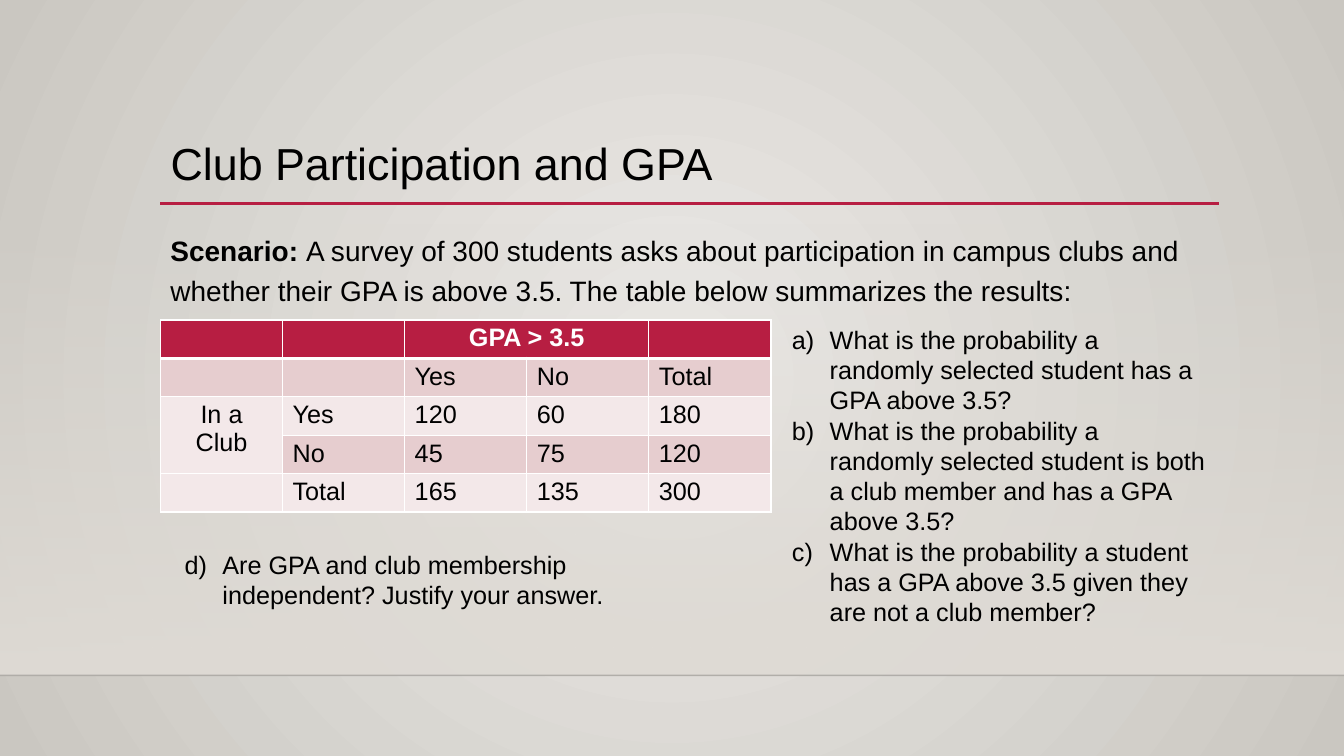
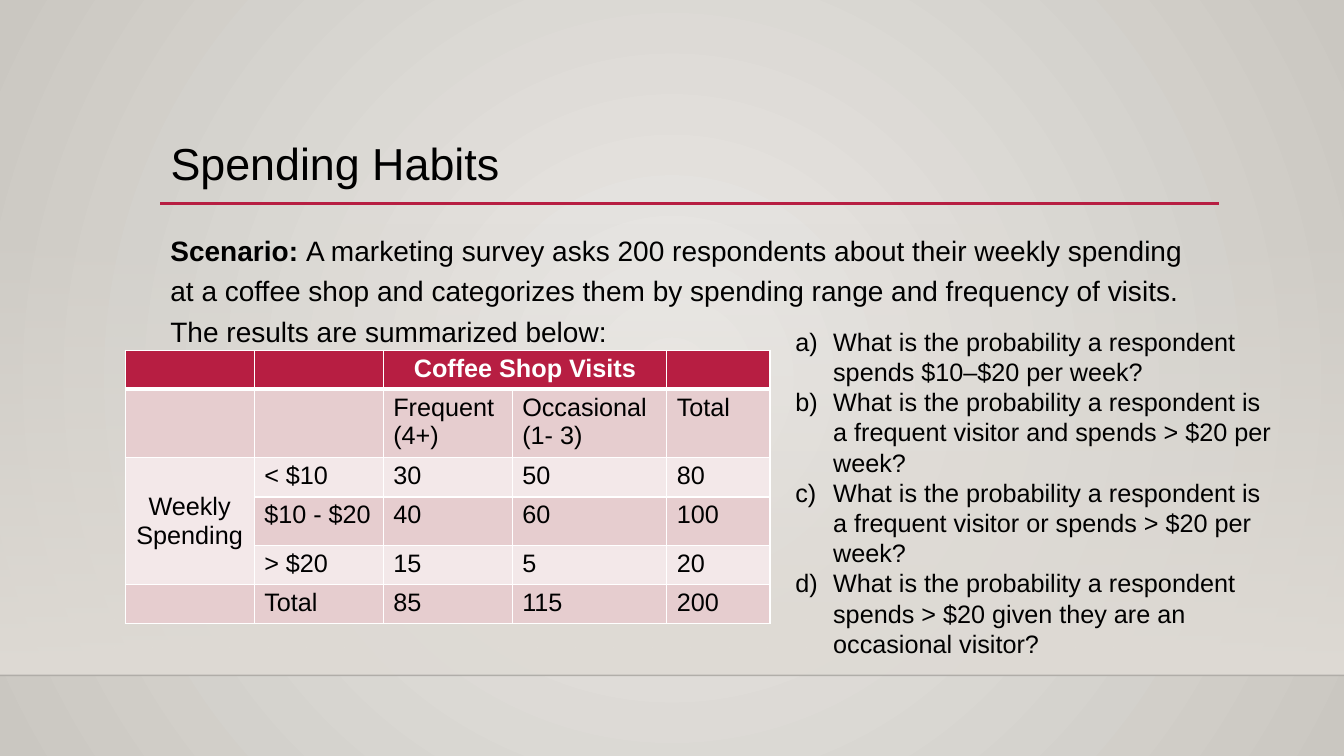
"""Build two probability exercise slides with two-way tables."""
from dataclasses import dataclass

import lxml.etree
import pptx
import pptx.dml.color
import pptx.enum.shapes
import pptx.enum.text
import pptx.oxml.ns
import pptx.shapes.base
import pptx.slide
import pptx.table
import pptx.text.text
import pptx.util

RGB = pptx.dml.color.RGBColor
BLACK = RGB(0x00, 0x00, 0x00)
WHITE = RGB(0xFF, 0xFF, 0xFF)
RED = RGB(0xB7, 0x1E, 0x42)
PINK = RGB(0xE6, 0xCD, 0xCF)
PALE = RGB(0xF3, 0xE8, 0xE9)
LIGHT = RGB(0xEC, 0xEA, 0xE7)
DARK = RGB(0xCA, 0xC7, 0xC1)
SAND = RGB(0xDF, 0xDB, 0xD5)

FONT = "Arial"
COLS, ROWS = 160, 90
WIDTH = pptx.util.Inches(13.33)
HEIGHT = pptx.util.Inches(7.5)
LEFT, WIDE = 19.1, 126
STORY = 26.4
FLOOR = 80.4
HANG = 342900
PAD = pptx.util.Inches(0.04)
qn = pptx.oxml.ns.qn
ANCHOR = pptx.enum.text.MSO_ANCHOR
ALIGN = pptx.enum.text.PP_ALIGN


@dataclass(frozen=True)
class Box:
    left: float
    top: float
    wide: float
    high: float


@dataclass(frozen=True)
class Merge:
    row: int
    col: int
    last_row: int
    last_col: int
    anchor: ANCHOR = ANCHOR.TOP


@dataclass(frozen=True)
class Grid:
    left: float
    top: float
    wides: list[float]
    highs: list[float]
    cells: list[list[str]]
    merges: list[Merge]


@dataclass(frozen=True)
class Quiz:
    box: Box
    start: int
    items: list[str]


@dataclass(frozen=True)
class Page:
    title: str
    story: str
    grid: Grid
    quizzes: list[Quiz]


PAGES = [
    Page(
        "Club Participation and GPA",
        "A survey of 300 students asks about participation in campus clubs and "
        "whether their GPA is above 3.5. The table below summarizes the results:",
        Grid(
            LEFT, 38.1, [14.54] * 5, [4.57] * 5,
            [
                ["", "", "GPA > 3.5", "", ""],
                ["", "", "Yes", "No", "Total"],
                ["In a\nClub", "Yes", "120", "60", "180"],
                ["", "No", "45", "75", "120"],
                ["", "Total", "165", "135", "300"],
            ],
            [Merge(0, 2, 0, 3), Merge(2, 0, 3, 0)],
        ),
        [
            Quiz(Box(93.1, 38, 52, 37.6), 1, [
                "What is the probability a randomly selected student has a GPA above 3.5?",
                "What is the probability a randomly selected student is both a club "
                "member and has a GPA above 3.5?",
                "What is the probability a student has a GPA above 3.5 given they "
                "are not a club member?",
            ]),
            Quiz(Box(20.8, 64.8, 61.3, 12.1), 4, [
                "Are GPA and club membership independent? Justify your answer.",
            ]),
        ],
    ),
    Page(
        "Spending Habits",
        "A marketing survey asks 200 respondents about their weekly spending at a "
        "coffee shop and categorizes them by spending range and frequency of "
        "visits. The results are summarized below:",
        Grid(
            14.9, 41.7, [15.36, 15.36, 15.36, 18.4, 12.3],
            [4.65, 8.1, 4.65, 5.8, 4.65, 4.65],
            [
                ["", "", "Coffee Shop Visits", "", ""],
                ["", "", "Frequent (4+)", "Occasional (1- 3)", "Total"],
                ["Weekly\nSpending", "< $10", "30", "50", "80"],
                ["", "$10 - $20", "40", "60", "100"],
                ["", "> $20", "15", "5", "20"],
                ["", "Total", "85", "115", "200"],
            ],
            [Merge(0, 2, 0, 3), Merge(2, 0, 4, 0, ANCHOR.MIDDLE)],
        ),
        [
            Quiz(Box(93.5, 38.2, 60, 41.2), 1, [
                "What is the probability a respondent spends $10–$20 per week?",
                "What is the probability a respondent is a frequent visitor and "
                "spends > $20 per week?",
                "What is the probability a respondent is a frequent visitor or "
                "spends > $20 per week?",
                "What is the probability a respondent spends > $20 given they are "
                "an occasional visitor?",
            ]),
        ],
    ),
]


def across(cols: float) -> int:
    return round(WIDTH * cols / COLS)


def down(rows: float) -> int:
    return round(HEIGHT * rows / ROWS)


def place(box: Box) -> tuple[int, int, int, int]:
    return across(box.left), down(box.top), across(box.wide), down(box.high)


def child(node: lxml.etree._Element, tag: str, **attrs: str) -> lxml.etree._Element:
    return lxml.etree.SubElement(node, qn(tag), attrs)


def fade(node: lxml.etree._Element, share: int) -> None:
    color = next(node.iter(qn("a:srgbClr")))
    child(color, "a:alpha", val=str(share * 1000))


def style(para: pptx.text.text._Paragraph, size: float, color: RGB = BLACK,
          bold: bool = False) -> None:
    for run in para.runs:
        run.font.name = FONT
        run.font.size = pptx.util.Pt(size)
        run.font.bold = bold
        run.font.color.rgb = color


def paint_back(master: pptx.slide.SlideMaster) -> None:
    fill = master.background.fill
    fill.gradient()
    for stop, color in zip(fill.gradient_stops, (LIGHT, DARK)):
        stop.color.rgb = color
    grad = next(master.element.iter(qn("a:gradFill")))
    grad.remove(grad.find(qn("a:lin")))
    ring = child(grad, "a:path", path="circle")
    child(ring, "a:fillToRect", l="50000", t="50000", r="50000", b="50000")


def add_rule(slide: pptx.slide.Slide, left: float, right: float, row: float,
             color: RGB, points: float, share: int = 100) -> None:
    rule = slide.shapes.add_connector(
        pptx.enum.shapes.MSO_CONNECTOR.STRAIGHT,
        across(left), down(row), across(right), down(row))
    rule.line.color.rgb = color
    rule.line.width = pptx.util.Pt(points)
    props = rule.element.spPr
    if share < 100:
        fade(props, share)
    child(props, "a:effectLst")


def add_frame(slide: pptx.slide.Slide) -> None:
    top = 26.5
    band = slide.shapes.add_shape(
        pptx.enum.shapes.MSO_SHAPE.RECTANGLE, *place(Box(0, top, COLS, FLOOR - top)))
    band.shadow.inherit = False
    band.line.fill.background()
    band.fill.gradient()
    band.fill.gradient_angle = 270
    for stop in band.fill.gradient_stops:
        stop.color.rgb = SAND
    fade(band.element.spPr, 0)
    add_rule(slide, 0, COLS, FLOOR, BLACK, 1, 20)
    add_rule(slide, LEFT, LEFT + WIDE, 24.2, RED, 2.5)


def set_title(slide: pptx.slide.Slide, text: str) -> None:
    title = slide.shapes.title
    title.left, title.top, title.width, title.height = place(Box(LEFT, 10.6, WIDE, 13.8))
    frame = title.text_frame
    frame.text = text
    frame.auto_size = pptx.enum.text.MSO_AUTO_SIZE.NONE
    frame.vertical_anchor = ANCHOR.BOTTOM
    frame.margin_bottom = pptx.util.Inches(0.15)
    para = frame.paragraphs[0]
    para.alignment = ALIGN.LEFT
    para.line_spacing = 0.9
    style(para, 32)


def add_text(slide: pptx.slide.Slide, box: Box) -> pptx.text.text.TextFrame:
    frame = slide.shapes.add_textbox(*place(box)).text_frame
    frame.word_wrap = True
    return frame


def add_story(slide: pptx.slide.Slide, text: str, floor: float) -> None:
    para = add_text(slide, Box(LEFT, STORY, WIDE, floor - STORY)).paragraphs[0]
    para.line_spacing = 1.2
    para.text = "Scenario: "
    para.add_run().text = text
    style(para, 20)
    para.runs[0].font.bold = True


def add_quiz(slide: pptx.slide.Slide, quiz: Quiz) -> None:
    frame = add_text(slide, quiz.box)
    frame.text = "\n".join(quiz.items)
    for para in frame.paragraphs:
        style(para, 18)
        props = para._p.get_or_add_pPr()
        props.set("marL", str(HANG))
        props.set("indent", str(-HANG))
        child(props, "a:buFont", typeface=FONT)
        child(props, "a:buAutoNum", type="alphaLcParenR", startAt=str(quiz.start))


def edge_cell(cell: pptx.table._Cell, row: int) -> None:
    props = cell._tc.get_or_add_tcPr()
    thick = {"T": row == 1, "B": row == 0}
    for side in "LRTB":
        points = 3 if thick.get(side) else 1
        edge = child(props, f"a:ln{side}", w=str(pptx.util.Pt(points)))
        child(child(edge, "a:solidFill"), "a:srgbClr", val=str(WHITE))


def add_grid(slide: pptx.slide.Slide, grid: Grid) -> None:
    box = Box(grid.left, grid.top, sum(grid.wides), sum(grid.highs))
    table = slide.shapes.add_table(
        len(grid.highs), len(grid.wides), *place(box)).table
    table.first_row = table.horz_banding = False
    for col, wide in zip(table.columns, grid.wides):
        col.width = across(wide)
    for row, high in zip(table.rows, grid.highs):
        row.height = down(high)
    for r, texts in enumerate(grid.cells):
        head = r == 0
        for c, text in enumerate(texts):
            cell = table.cell(r, c)
            edge_cell(cell, r)
            cell.margin_top = cell.margin_bottom = PAD
            cell.fill.solid()
            cell.fill.fore_color.rgb = RED if head else PINK if r % 2 else PALE
            cell.text_frame.text = text
            for para in cell.text_frame.paragraphs:
                style(para, 18, WHITE if head else BLACK, head)
    for merge in grid.merges:
        cell = table.cell(merge.row, merge.col)
        cell.merge(table.cell(merge.last_row, merge.last_col))
        cell.vertical_anchor = merge.anchor
        for para in cell.text_frame.paragraphs:
            para.alignment = ALIGN.CENTER


def main() -> None:
    deck = pptx.Presentation()
    deck.slide_width, deck.slide_height = WIDTH, HEIGHT
    paint_back(deck.slide_master)
    for page in PAGES:
        slide = deck.slides.add_slide(deck.slide_layouts[5])
        add_frame(slide)
        set_title(slide, page.title)
        add_story(slide, page.story, page.grid.top)
        add_grid(slide, page.grid)
        for quiz in page.quizzes:
            add_quiz(slide, quiz)
    deck.save("out.pptx")


if __name__ == "__main__":
    main()
